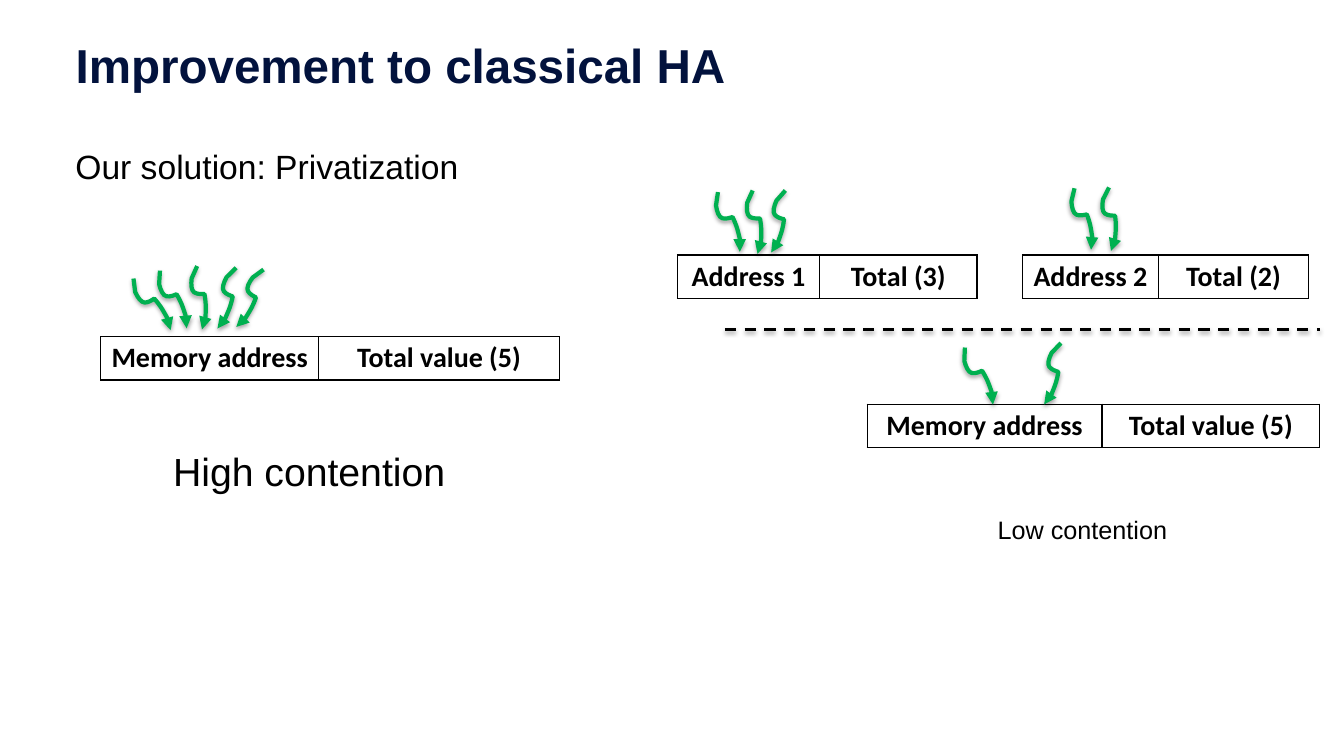
import dataclasses

import lxml.etree
import pptx
import pptx.dml.color
import pptx.enum.dml
import pptx.enum.shapes
import pptx.enum.text
import pptx.oxml.ns
import pptx.util

Inches = pptx.util.Inches
Pt = pptx.util.Pt
qn = pptx.oxml.ns.qn
PP_ALIGN = pptx.enum.text.PP_ALIGN
MSO_ANCHOR = pptx.enum.text.MSO_ANCHOR
MSO_AUTO_SIZE = pptx.enum.text.MSO_AUTO_SIZE


@dataclasses.dataclass(frozen=True)
class Theme:
    title_color: str = "02123D"
    ink: str = "000000"
    thread: str = "00B050"
    text_font: str = "Arial"
    table_font: str = "Calibri"
    title_size: int = 34
    body_size: int = 24
    high_size: int = 28
    low_size: int = 18
    cell_size: int = 20


# Start point, six curves of three points each, and the end of the tip.
SQUIGGLE = [
    (0.07, 0),
    (0.05, 0.04), (0.03, 0.08), (0.01, 0.12),
    (0, 0.18), (0, 0.24), (0.03, 0.26),
    (0.06, 0.28), (0.1, 0.28), (0.13, 0.28),
    (0.14, 0.37), (0.14, 0.39), (0.13, 0.51),
    (0.12, 0.53), (0.11, 0.53), (0.1, 0.55),
    (0.09, 0.63),
]

# Left, top and rotation of each thread arrow.
THREADS = [
    (1.43, 2.71, 326.1), (1.64, 2.66, 337), (1.9, 2.64, 357.4),
    (2.17, 2.64, 18.9), (2.4, 2.64, 27.2),
    (7.15, 1.89, 341.7), (7.41, 1.89, 357.4), (7.64, 1.88, 14.7),
    (10.66, 1.86, 346.7), (10.93, 1.86, 0),
    (9.63, 3.42, 335.6), (10.36, 3.39, 17.1),
]

# Left, top, column widths and cell texts of each memory record.
RECORDS = [
    (1, 3.34, (2.16, 2.39), ("Memory address", "Total value (5)")),
    (6.72, 2.53, (1.41, 1.56), ("Address 1", "Total (3)")),
    (10.14, 2.53, (1.35, 1.49), ("Address 2", "Total (2)")),
    (8.6, 4.01, (2.33, 2.16), ("Memory address", "Total value (5)")),
]
RECORD_HEIGHT = 0.43


def rgb(color):
    return pptx.dml.color.RGBColor.from_string(color)


class SlideBuilder:
    def __init__(self, slide, theme):
        self.s = slide
        self.theme = theme

    def style(self, tf, size, color, font, bold=False, align=PP_ALIGN.LEFT):
        for p in tf.paragraphs:
            p.alignment = align
            for r in p.runs:
                r.font.size = Pt(size)
                r.font.name = font
                r.font.bold = bold
                r.font.color.rgb = rgb(color)

    def shadow(self, shape, opacity, distance):
        """Soft shadow falling straight down."""
        effects = lxml.etree.SubElement(shape._element.spPr, qn("a:effectLst"))
        outer = lxml.etree.SubElement(
            effects, qn("a:outerShdw"), blurRad=str(Pt(3.1)),
            dist=str(Pt(distance)), dir="5400000", rotWithShape="0")
        color = lxml.etree.SubElement(outer, qn("a:srgbClr"), val=self.theme.ink)
        lxml.etree.SubElement(color, qn("a:alpha"), val=str(opacity * 1000))

    def title(self, text, left, top, width, height):
        sp = self.s.shapes.title
        sp.left, sp.top = Inches(left), Inches(top)
        sp.width, sp.height = Inches(width), Inches(height)
        tf = sp.text_frame
        tf.text = text
        tf.word_wrap = True
        tf.auto_size = MSO_AUTO_SIZE.NONE
        tf.vertical_anchor = MSO_ANCHOR.TOP
        tf.margin_top = Inches(0.1)
        self.style(tf, self.theme.title_size, self.theme.title_color,
                   self.theme.text_font, bold=True)

    def text(self, text, left, top, width, height, size,
             align=PP_ALIGN.CENTER, inset=0.05):
        sp = self.s.shapes.add_textbox(
            Inches(left), Inches(top), Inches(width), Inches(height))
        tf = sp.text_frame
        tf.text = text
        tf.word_wrap = True
        tf.margin_top = Inches(inset)
        self.style(tf, size, self.theme.ink, self.theme.text_font, align=align)

    def record(self, left, top, widths, texts):
        """One-row table that pairs an address with its total."""
        frame = self.s.shapes.add_table(
            1, len(texts), Inches(left), Inches(top),
            Inches(sum(widths)), Inches(RECORD_HEIGHT))
        table = frame.table
        table.first_row = table.horz_banding = False
        for i, (width, text) in enumerate(zip(widths, texts)):
            table.columns[i].width = Inches(width)
            cell = table.cell(0, i)
            cell.text = text
            cell.fill.background()
            cell.vertical_anchor = MSO_ANCHOR.MIDDLE
            cell.margin_left = cell.margin_right = Inches(0.05)
            cell.margin_top = cell.margin_bottom = Inches(0.04)
            self.style(cell.text_frame, self.theme.cell_size, self.theme.ink,
                       self.theme.table_font, bold=True, align=PP_ALIGN.CENTER)
            self.borders(cell)

    def borders(self, cell):
        tcPr = cell._tc.get_or_add_tcPr()
        for i, side in enumerate(("a:lnL", "a:lnR", "a:lnT", "a:lnB")):
            ln = lxml.etree.Element(qn(side), w=str(Pt(1)))
            fill = lxml.etree.SubElement(ln, qn("a:solidFill"))
            lxml.etree.SubElement(fill, qn("a:srgbClr"), val=self.theme.ink)
            tcPr.insert(i, ln)

    def thread(self, left, top, rotation):
        """Curved arrow for a thread that writes to memory."""
        points = [(Inches(left + x), Inches(top + y)) for x, y in SQUIGGLE]
        builder = self.s.shapes.build_freeform(*points[0])
        builder.add_line_segments(points[1:], close=False)
        sp = builder.convert_to_shape()
        self.curve(sp)
        sp.rotation = rotation
        sp.fill.background()
        sp.line.color.rgb = rgb(self.theme.thread)
        sp.line.width = Pt(3)
        lxml.etree.SubElement(sp.line._get_or_add_ln(), qn("a:tailEnd"),
                              type="triangle")
        self.shadow(sp, 35, 1.8)

    def curve(self, sp):
        """Join all segments but the last, three at a time, into Bézier curves."""
        outline = next(sp._element.iter(qn("a:path")))
        *segments, tip = outline.findall(qn("a:lnTo"))
        for i in range(0, len(segments), 3):
            bezier = lxml.etree.SubElement(outline, qn("a:cubicBezTo"))
            for segment in segments[i:i + 3]:
                bezier.append(segment[0])
                outline.remove(segment)
        outline.append(tip)

    def divider(self, left, right, y):
        line = self.s.shapes.add_connector(
            pptx.enum.shapes.MSO_CONNECTOR.STRAIGHT,
            Inches(left), Inches(y), Inches(right), Inches(y))
        line.line.color.rgb = rgb(self.theme.ink)
        line.line.width = Pt(2)
        line.line.dash_style = pptx.enum.dml.MSO_LINE.DASH
        self.shadow(line, 38, 1.6)


def main():
    prs = pptx.Presentation()
    prs.slide_width, prs.slide_height = Inches(13.33), Inches(7.5)
    theme = Theme()
    s = SlideBuilder(prs.slides.add_slide(prs.slide_layouts[5]), theme)
    s.title("Improvement to classical HA", 0.65, 0.26, 11.96, 0.87)
    s.text("Our solution: Privatization", 0.65, 1.37, 11.96, 5.29,
           theme.body_size, align=PP_ALIGN.LEFT, inset=0.08)
    for record in RECORDS:
        s.record(*record)
    for thread in THREADS:
        s.thread(*thread)
    s.text("High contention", 1.39, 4.39, 3.35, 0.57, theme.high_size)
    s.text("Low contention", 9.06, 5.05, 3.35, 0.4, theme.low_size)
    s.divider(7.19, 13.09, 3.27)
    prs.save("out.pptx")


if __name__ == "__main__":
    main()
